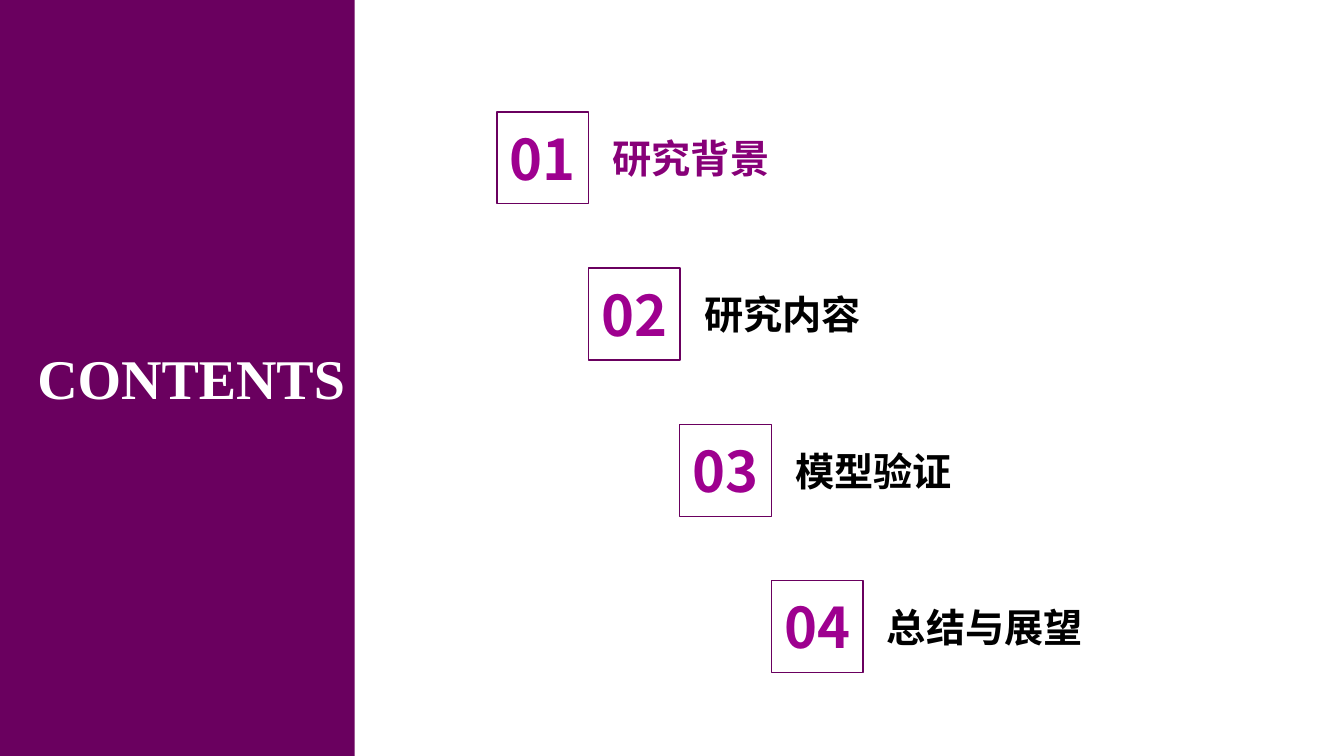
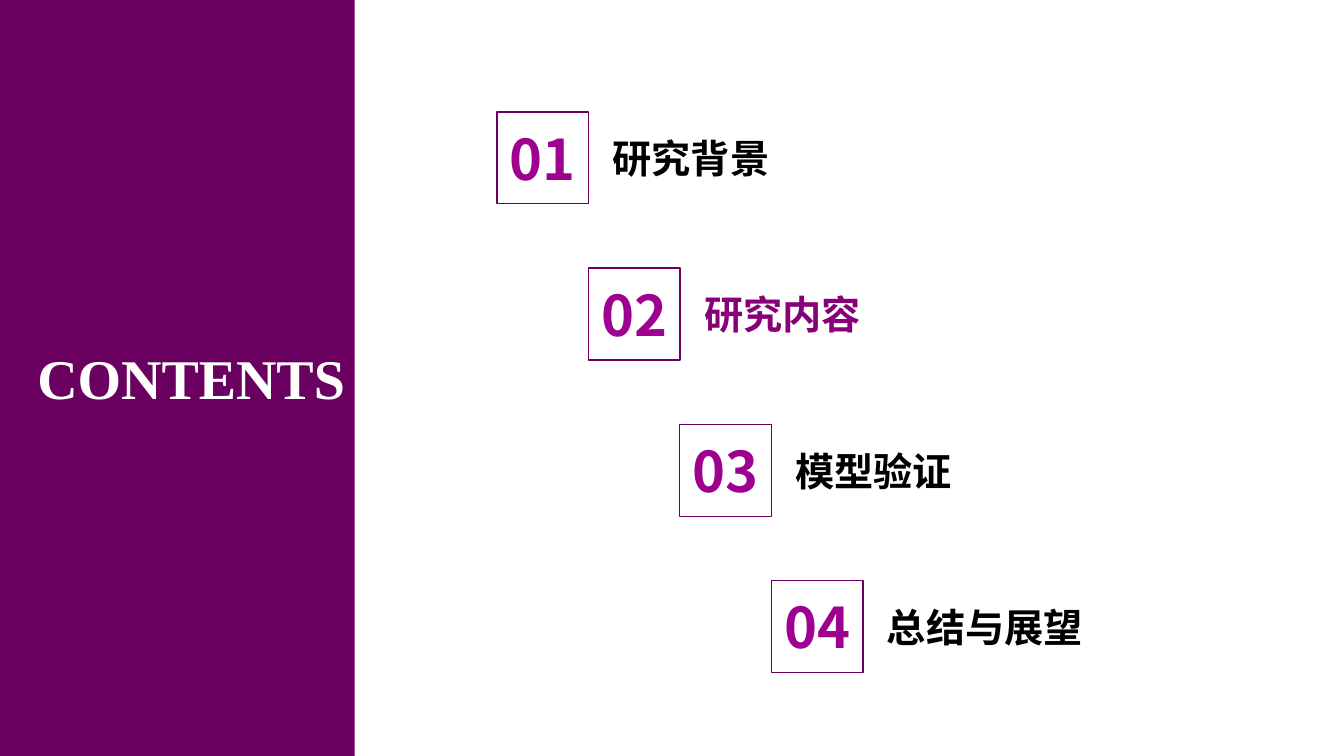
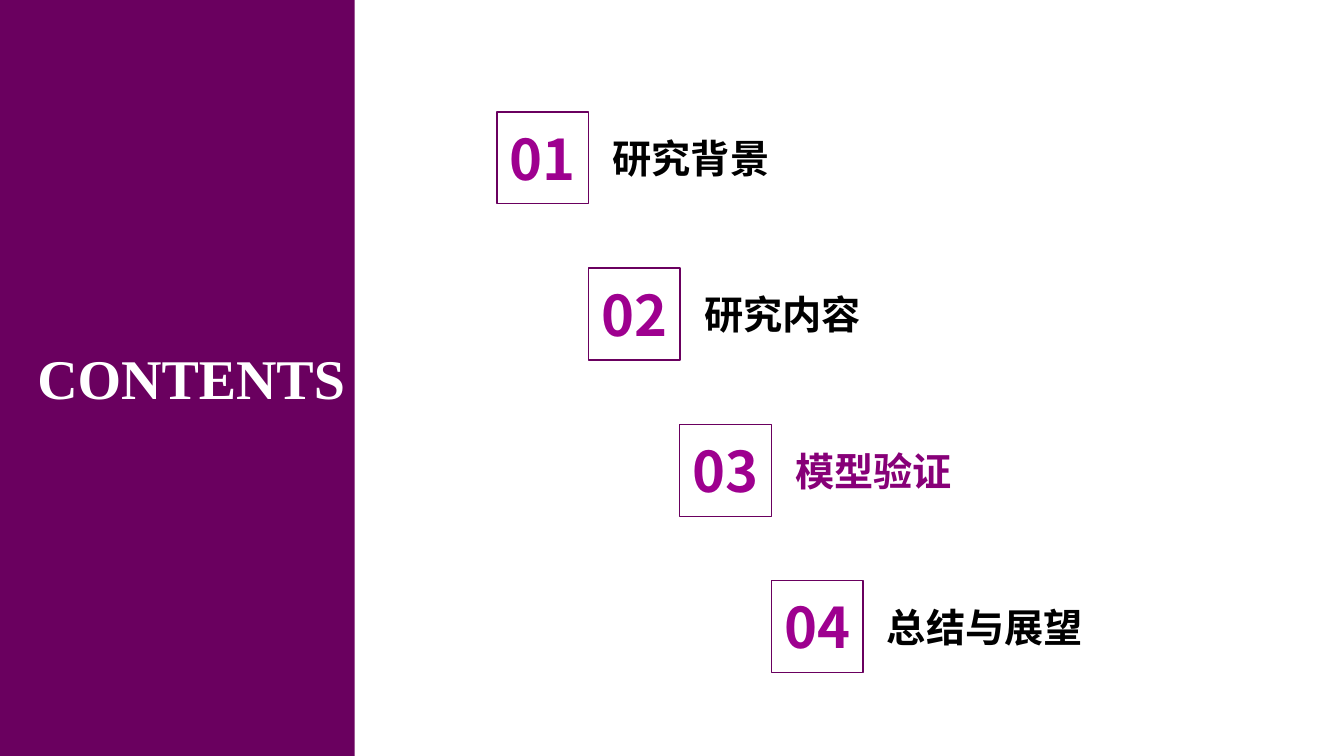
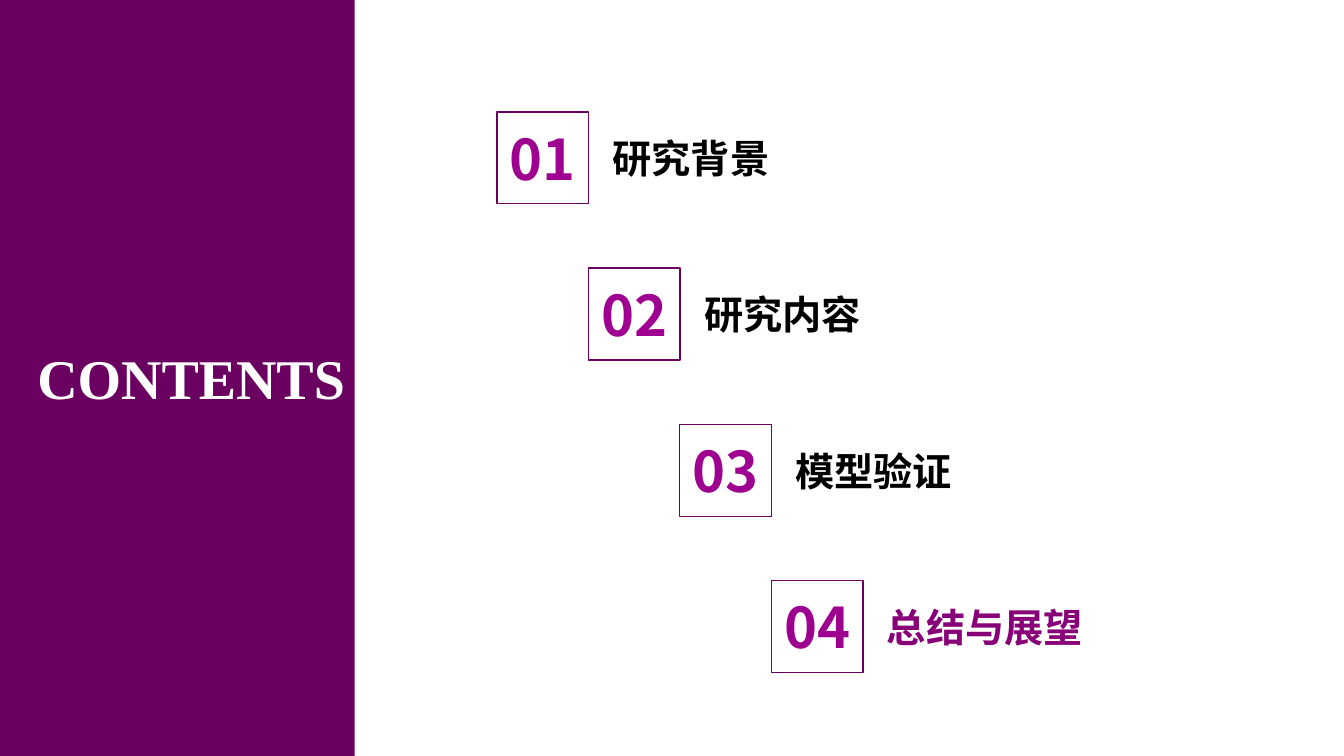
from lxml import etree
from pptx import Presentation
from pptx.dml.color import RGBColor
from pptx.enum.shapes import MSO_SHAPE
from pptx.enum.text import MSO_ANCHOR, MSO_AUTO_SIZE, PP_ALIGN
from pptx.oxml.ns import qn
from pptx.util import Pt

RECTANGLE = MSO_SHAPE.RECTANGLE
MIDDLE = MSO_ANCHOR.MIDDLE
GROW = MSO_AUTO_SIZE.SHAPE_TO_FIT_TEXT
LEFT, CENTER, RIGHT = PP_ALIGN.LEFT, PP_ALIGN.CENTER, PP_ALIGN.RIGHT

COLORS = {
    "band": "6A005F",
    "number": "9E008F",
    "current": "870078",
    "text": "000000",
    "white": "FFFFFF",
}
SERIF = "Times New Roman"
SANS = "Noto Sans CJK SC"

WIDTH, HEIGHT = 960, 540
BAND_WIDTH = 253.4
SQUARE = 65.6
FIRST_LEFT, FIRST_TOP = 355, 80
STEP_RIGHT, STEP_DOWN = 65.3, 111.6
LABEL_INDENT = 75.6

CHAPTERS = ["研究背景", "研究内容", "模型验证", "总结与展望"]


class Deck:
    def __init__(self):
        self.presentation = Presentation()
        self.presentation.slide_width = Pt(WIDTH)
        self.presentation.slide_height = Pt(HEIGHT)
        self.slide = None

    def color(self, name):
        return RGBColor.from_string(COLORS[name])

    def new_slide(self):
        blank = self.presentation.slide_layouts[6]
        self.slide = self.presentation.slides.add_slide(blank)

    def rectangle(self, shapes, left, top, width, height, fill=None, line=None):
        rectangle = shapes.add_shape(
            RECTANGLE, Pt(left), Pt(top), Pt(width), Pt(height))
        rectangle.shadow.inherit = False
        if fill:
            rectangle.fill.solid()
            rectangle.fill.fore_color.rgb = self.color(fill)
        else:
            rectangle.fill.background()
        if line:
            rectangle.line.color.rgb = self.color(line)
            rectangle.line.width = Pt(1)
        else:
            rectangle.line.fill.background()

    def text(self, shapes, words, left, top, width, height, size, color,
             font=SERIF, align=LEFT):
        box = shapes.add_textbox(Pt(left), Pt(top), Pt(width), Pt(height))
        frame = box.text_frame
        frame.word_wrap = True
        frame.auto_size = GROW
        frame.vertical_anchor = MIDDLE
        frame.text = words
        paragraph = frame.paragraphs[0]
        paragraph.alignment = align
        run = paragraph.runs[0]
        run.font.name = font
        run.font.size = Pt(size)
        run.font.bold = True
        run.font.color.rgb = self.color(color)
        east_asian = etree.SubElement(run.font._element, qn("a:ea"))
        east_asian.set("typeface", SANS)

    def side_band(self, title):
        shapes = self.slide.shapes
        self.rectangle(shapes, 0, 0, BAND_WIDTH, HEIGHT, fill="band")
        self.text(shapes, title, -0.5, 242, 254, 55.4, 40, "white", align=RIGHT)

    def chapter(self, index, label, is_current):
        left = FIRST_LEFT + index * STEP_RIGHT
        top = FIRST_TOP + index * STEP_DOWN
        shapes = self.slide.shapes.add_group_shape().shapes
        self.text(shapes, label, left + LABEL_INDENT, top + 12.2, 232.6, 41.2,
                  28, "current" if is_current else "text")
        self.text(shapes, f"{index + 1:02}", left, top + 5, SQUARE, 55.4,
                  40, "number", font=SANS, align=CENTER)
        self.rectangle(shapes, left, top, SQUARE, SQUARE, line="band")


def main():
    deck = Deck()
    for current in range(len(CHAPTERS)):
        deck.new_slide()
        deck.side_band("CONTENTS")
        for index, label in enumerate(CHAPTERS):
            deck.chapter(index, label, index == current)
    deck.presentation.save("out.pptx")


if __name__ == "__main__":
    main()
